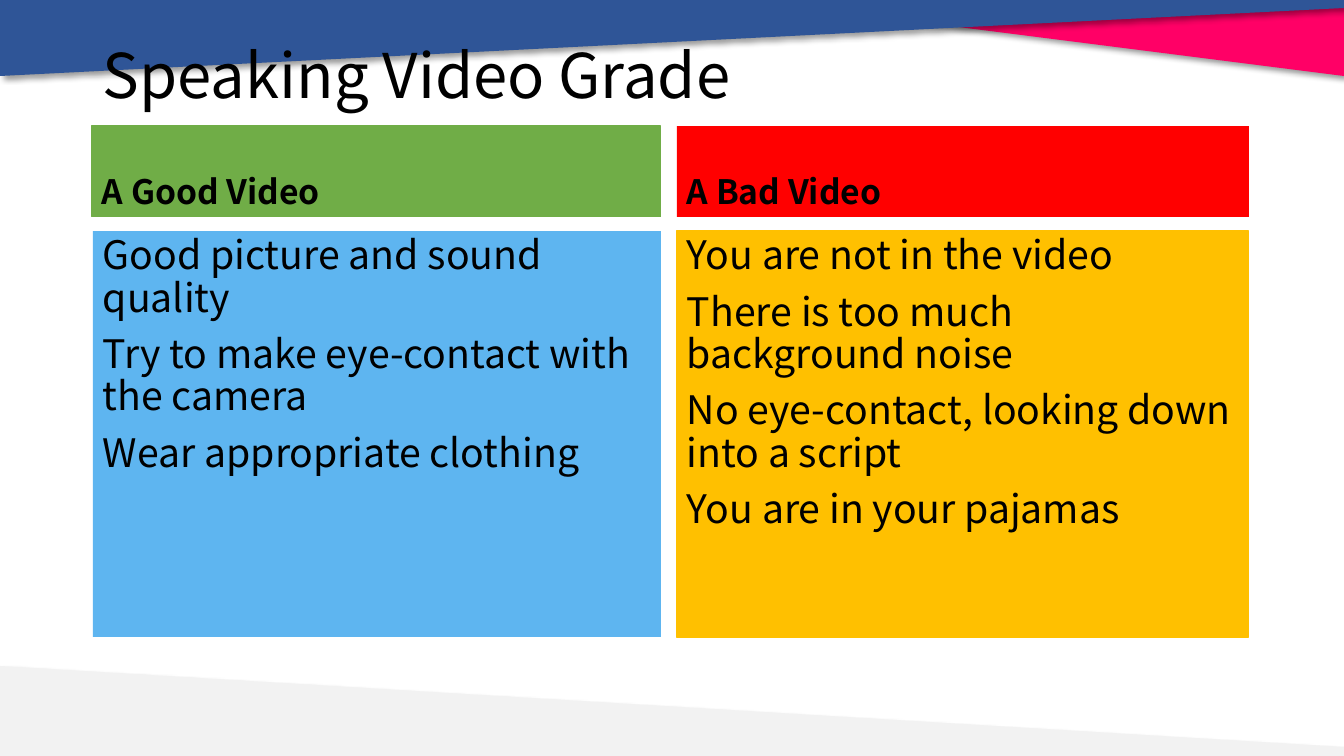
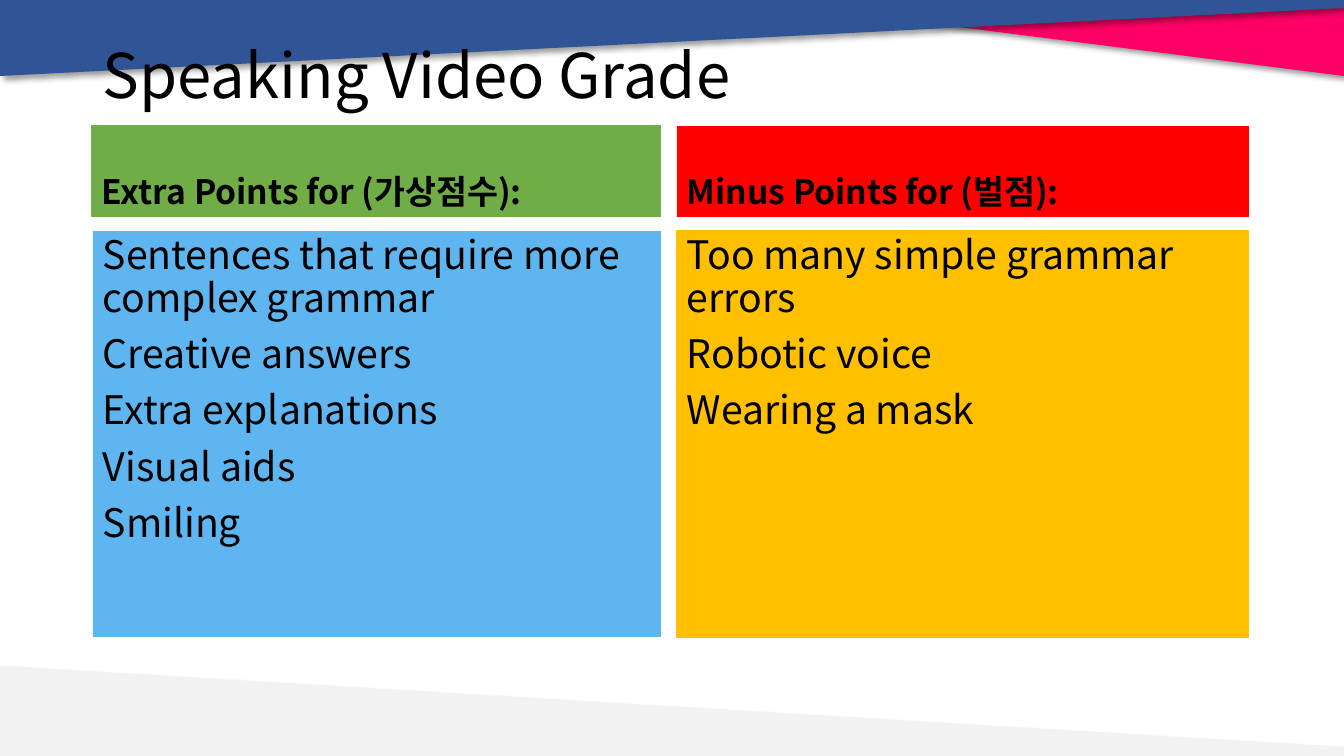
from dataclasses import dataclass

from lxml import etree
from pptx import Presentation
from pptx.dml.color import RGBColor
from pptx.enum.shapes import MSO_SHAPE
from pptx.enum.text import MSO_ANCHOR, PP_ALIGN
from pptx.oxml.ns import qn
from pptx.util import Emu, Pt

RECTANGLE = MSO_SHAPE.RECTANGLE
TOP, BOTTOM = MSO_ANCHOR.TOP, MSO_ANCHOR.BOTTOM
LEFT = PP_ALIGN.LEFT

# Shared measures and styles
EMU_PER_PX = 12192000 / 1344
SLIDE_WIDTH, SLIDE_HEIGHT = 1344, 756
FONT = "Noto Sans CJK KR"
TEXT_COLOR = "000000"
TITLE = "Speaking Video Grade"
TITLE_SIZE, HEADING_SIZE, BODY_SIZE = 44, 24, 28


@dataclass(frozen=True)
class Box:
    left: int
    top: int
    width: int
    height: int


@dataclass(frozen=True)
class Band:
    color: str
    points: tuple[tuple[int, int], ...]


@dataclass(frozen=True)
class Panel:
    box: Box
    color: str
    outlined: bool


@dataclass(frozen=True)
class Column:
    header: Panel
    body: Panel


@dataclass(frozen=True)
class ColumnText:
    heading: str
    items: tuple[str, ...]


# Bands, from back to front
BANDS = (
    Band("FF0066", ((1344, 76), (809, 8), (809, 0), (1344, 0))),
    Band("F2F2F2", ((0, 666), (1344, 747), (1344, 756), (0, 756))),
    Band("2F5597", ((0, 76), (1344, 8), (1344, 0), (0, 0))),
)
TITLE_BOX = Box(93, 40, 1159, 146)
COLUMNS = (
    Column(Panel(Box(92, 126, 569, 91), "70AD47", True),
           Panel(Box(93, 231, 568, 406), "5EB5F0", False)),
    Column(Panel(Box(677, 126, 572, 91), "FF0000", False),
           Panel(Box(677, 231, 572, 406), "FFC000", True)),
)

# Wording of each slide, left column then right column
SLIDES = (
    (
        ColumnText("A Good Video", (
            "Good picture and sound quality",
            "Try to make eye-contact with the camera",
            "Wear appropriate clothing",
        )),
        ColumnText("A Bad Video", (
            "You are not in the video",
            "There is too much background noise",
            "No eye-contact, looking down into a script",
            "You are in your pajamas",
        )),
    ),
    (
        ColumnText("Extra Points for (가상점수):", (
            "Sentences that require more complex grammar",
            "Creative answers",
            "Extra explanations",
            "Visual aids",
            "Smiling",
        )),
        ColumnText("Minus Points for (벌점):", (
            "Too many simple grammar errors",
            "Robotic voice",
            "Wearing a mask",
        )),
    ),
)


def px(length: int) -> Emu:
    return Emu(round(length * EMU_PER_PX))


def rgb(color: str) -> RGBColor:
    return RGBColor.from_string(color)


def place(box: Box) -> tuple[Emu, Emu, Emu, Emu]:
    return px(box.left), px(box.top), px(box.width), px(box.height)


def paint(shape, color: str, outlined: bool = False) -> None:
    shape.shadow.inherit = False
    shape.fill.solid()
    shape.fill.fore_color.rgb = rgb(color)
    if outlined:
        shape.line.color.rgb = rgb(color)
        shape.line.width = Pt(0.75)
    else:
        shape.line.fill.background()


def add_shadow(shape) -> None:
    effects = shape._element.spPr.find(qn("a:effectLst"))
    shadow = etree.SubElement(
        effects, qn("a:outerShdw"), blurRad=str(Pt(4)), dist=str(Pt(3)),
        dir=str(45 * 60000), algn="tl", rotWithShape="0")
    color = etree.SubElement(shadow, qn("a:srgbClr"), val="000000")
    etree.SubElement(color, qn("a:alpha"), val="40000")


def add_band(slide, band: Band) -> None:
    points = [(px(x), px(y)) for x, y in band.points]
    builder = slide.shapes.build_freeform(*points[0])
    builder.add_line_segments(points[1:], close=True)
    shape = builder.convert_to_shape()
    paint(shape, band.color)
    add_shadow(shape)


def write(shape, lines: tuple[str, ...], size: int, bold: bool = False,
          space_before: int = 0, anchor: MSO_ANCHOR = TOP) -> None:
    frame = shape.text_frame
    frame.word_wrap = True
    frame.vertical_anchor = anchor
    for index, line in enumerate(lines):
        paragraph = frame.add_paragraph() if index else frame.paragraphs[0]
        paragraph.alignment = LEFT
        paragraph.line_spacing = 0.9
        paragraph.space_before = Pt(space_before)
        run = paragraph.add_run()
        run.text = line
        run.font.size = Pt(size)
        run.font.bold = bold
        run.font.color.rgb = rgb(TEXT_COLOR)
        run.font.name = FONT
        # Korean letters take the East Asian typeface
        etree.SubElement(run.font._element, qn("a:ea"), typeface=FONT)


def add_panel(slide, panel: Panel):
    shape = slide.shapes.add_shape(RECTANGLE, *place(panel.box))
    paint(shape, panel.color, panel.outlined)
    return shape


def add_column(slide, column: Column, text: ColumnText) -> None:
    header = add_panel(slide, column.header)
    write(header, (text.heading,), HEADING_SIZE, bold=True,
          space_before=10, anchor=BOTTOM)
    body = add_panel(slide, column.body)
    write(body, text.items, BODY_SIZE, space_before=10)


def add_grade_slide(presentation, texts: tuple[ColumnText, ...]) -> None:
    slide = presentation.slides.add_slide(presentation.slide_layouts[6])
    for band in BANDS:
        add_band(slide, band)
    title = slide.shapes.add_textbox(*place(TITLE_BOX))
    write(title, (TITLE,), TITLE_SIZE)
    for column, text in zip(COLUMNS, texts):
        add_column(slide, column, text)


def main() -> None:
    presentation = Presentation()
    presentation.slide_width = px(SLIDE_WIDTH)
    presentation.slide_height = px(SLIDE_HEIGHT)
    for texts in SLIDES:
        add_grade_slide(presentation, texts)
    presentation.save("out.pptx")


if __name__ == "__main__":
    main()
